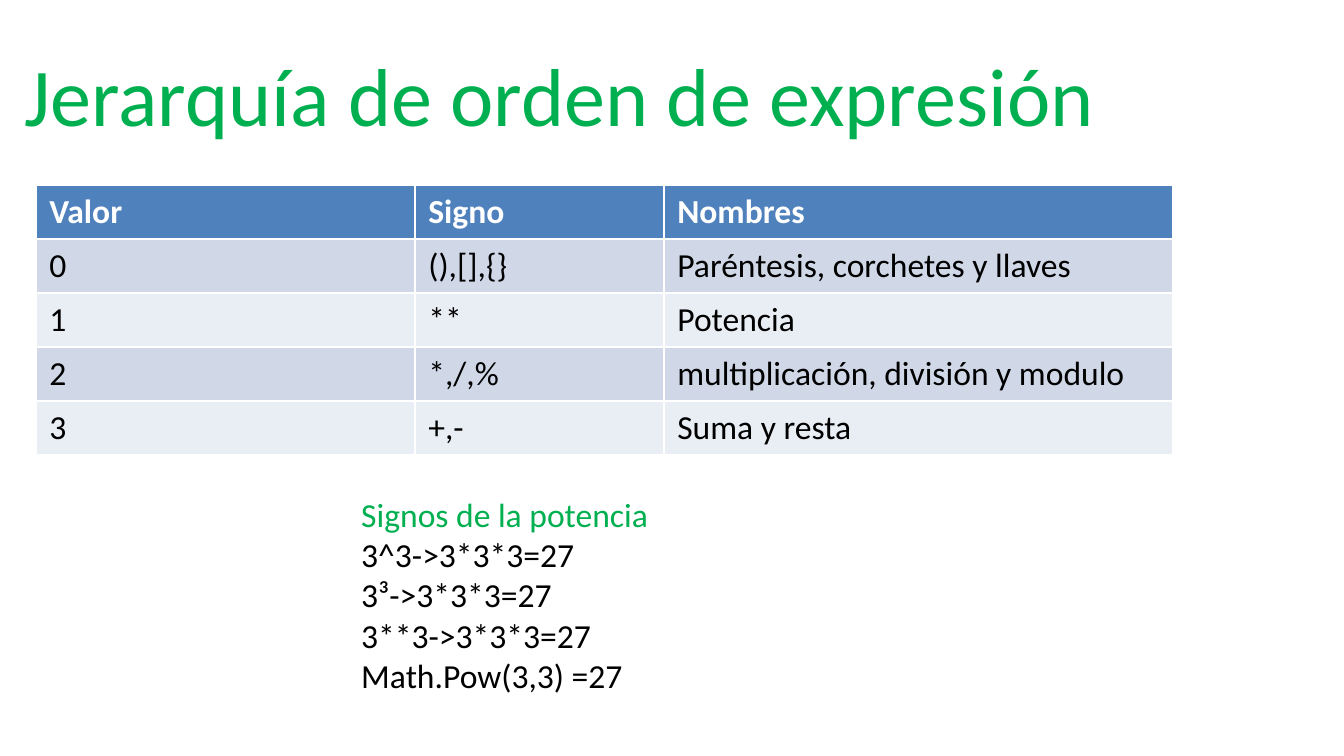
from pptx import Presentation
from pptx.dml.color import RGBColor
from pptx.enum.text import MSO_ANCHOR, MSO_AUTO_SIZE, PP_ALIGN
from pptx.util import Emu, Pt

GREEN = RGBColor(0x00, 0xB0, 0x50)
BLACK = RGBColor(0x00, 0x00, 0x00)
WHITE = RGBColor(0xFF, 0xFF, 0xFF)
HEADER_BLUE = RGBColor(0x4F, 0x81, 0xBD)
BAND_DARK = RGBColor(0xD0, 0xD8, 0xE8)
BAND_LIGHT = RGBColor(0xE9, 0xED, 0xF4)

PX_PER_INCH = 134.4


def px(length):
    return Emu(round(length * 914400 / PX_PER_INCH))


def write(paragraph, text, size=18, color=BLACK, bold=False, align=PP_ALIGN.LEFT):
    paragraph.alignment = align
    run = paragraph.add_run()
    run.text = text
    run.font.name = "Calibri"
    run.font.size = Pt(size)
    run.font.bold = bold
    run.font.color.rgb = color


prs = Presentation()
prs.slide_width, prs.slide_height = px(1344), px(756)
slide = prs.slides.add_slide(prs.slide_layouts[5])

# Title
title = slide.shapes.title
title.left, title.top, title.width, title.height = px(-36), px(31), px(1210), px(126)
title.text_frame.vertical_anchor = MSO_ANCHOR.MIDDLE
write(title.text_frame.paragraphs[0], "Jerarquía de orden de expresión ",
      size=44, color=GREEN, align=PP_ALIGN.CENTER)

# Power notations
powers = slide.shapes.add_textbox(px(348), px(487), px(540), px(258)).text_frame
powers.word_wrap = True
powers.auto_size = MSO_AUTO_SIZE.SHAPE_TO_FIT_TEXT
write(powers.paragraphs[0], "Signos de la potencia", color=GREEN)
for notation in ["3^3->3*3*3=27", "3³->3*3*3=27", "3**3->3*3*3=27", "Math.Pow(3,3) =27"]:
    write(powers.add_paragraph(), notation)

# Operator precedence table; its default style draws the white rules
precedence = [
    ("Valor", "Signo", "Nombres"),
    ("0", "(),[],{}", "Paréntesis, corchetes y llaves"),
    ("1", "**", "Potencia"),
    ("2", "*,/,%", "multiplicación, división y modulo"),
    ("3", "+,-", "Suma y resta"),
]
column_widths = [379, 249, 509]
row_height = 54
table = slide.shapes.add_table(
    len(precedence), len(column_widths), px(36), px(185),
    px(sum(column_widths)), px(row_height * len(precedence))).table
for column, width in zip(table.columns, column_widths):
    column.width = px(width)

for r, values in enumerate(precedence):
    table.rows[r].height = px(row_height)
    header = r == 0
    band = HEADER_BLUE if header else BAND_DARK if r % 2 else BAND_LIGHT
    for c, value in enumerate(values):
        cell = table.cell(r, c)
        cell.fill.solid()
        cell.fill.fore_color.rgb = band
        write(cell.text_frame.paragraphs[0], value,
              color=WHITE if header else BLACK, bold=header)

prs.save("out.pptx")
